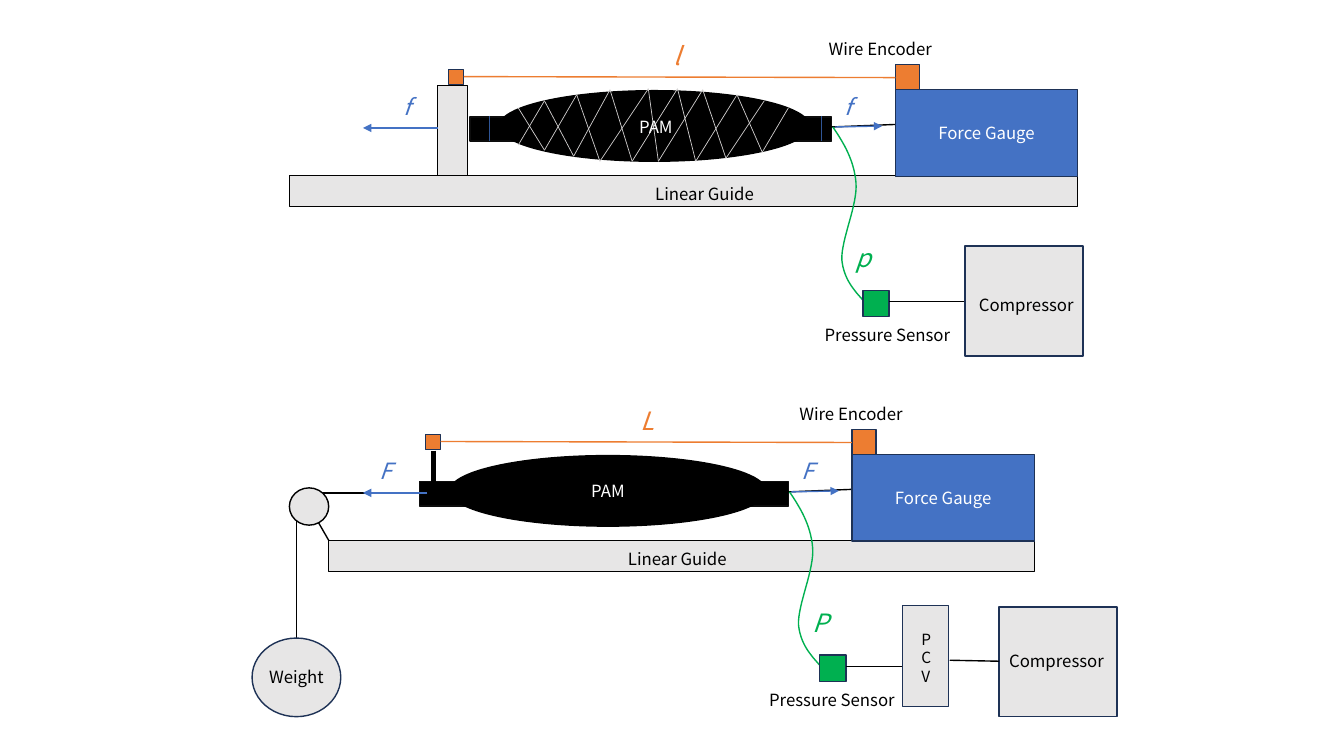
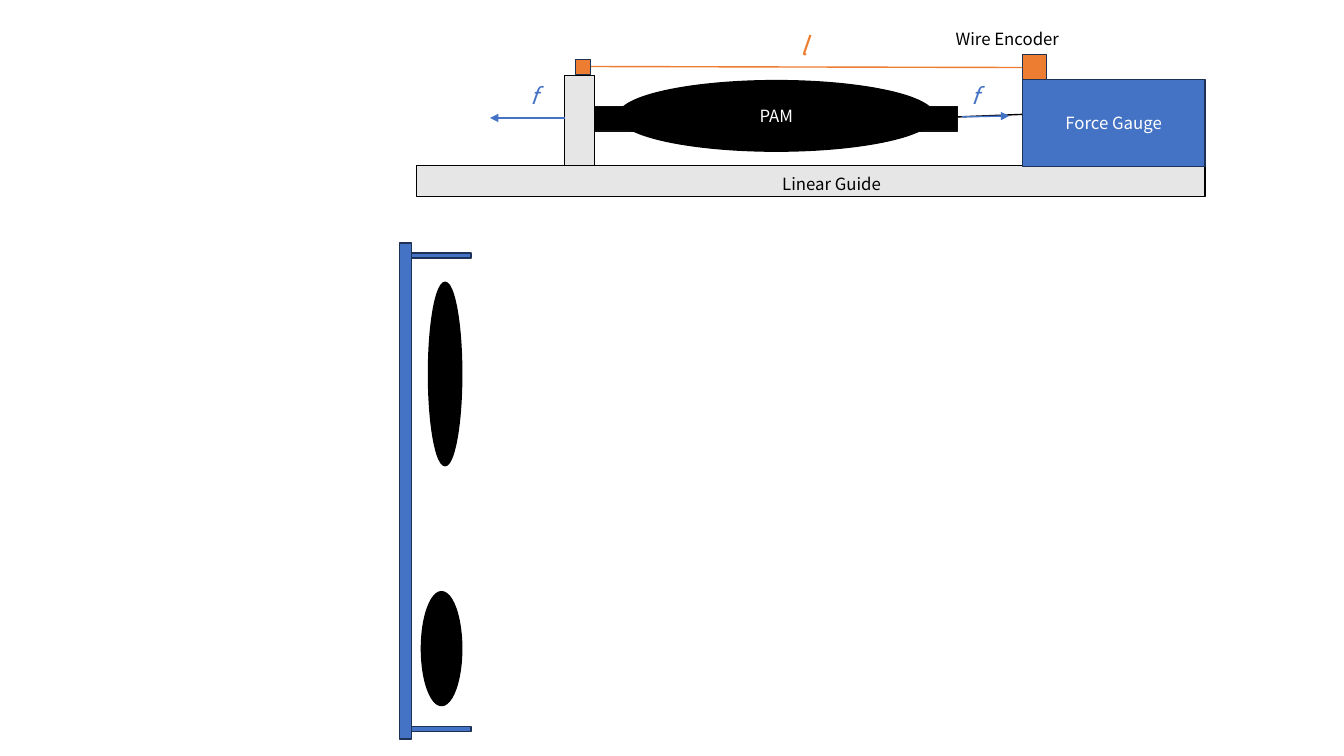
from lxml import etree
from pptx import Presentation
from pptx.dml.color import RGBColor
from pptx.enum.shapes import MSO_CONNECTOR, MSO_SHAPE
from pptx.enum.text import MSO_ANCHOR, PP_ALIGN
from pptx.oxml.ns import qn
from pptx.util import Inches, Pt

RECTANGLE = MSO_SHAPE.RECTANGLE
ELLIPSE = MSO_SHAPE.OVAL
STRAIGHT = MSO_CONNECTOR.STRAIGHT
CENTER = PP_ALIGN.CENTER
MIDDLE = MSO_ANCHOR.MIDDLE

FONT = "Noto Sans CJK JP"
COLOURS = {
    "black": "000000", "near_black": "0D0D0D", "white": "FFFFFF", "grey": "E7E6E6",
    "silver": "D0CECE", "blue": "4472C4", "deep_blue": "2F5597", "navy": "1E3256",
    "orange": "ED7D31", "green": "00B050",
}


def add_box(slide, preset, left, top, width, height, fill=None, outline=None,
            text="", size=12, colour="black", italic=False, wrap=False):
    """Add a preset shape with centred text, or a plain text box if preset is None."""
    bounds = [Inches(value) for value in (left, top, width, height)]
    if preset is None:
        shape = slide.shapes.add_textbox(*bounds)
    else:
        shape = slide.shapes.add_shape(preset, *bounds)
        shape.shadow.inherit = False
        shape.fill.solid()
        shape.fill.fore_color.rgb = RGBColor.from_string(COLOURS[fill])
        shape.line.color.rgb = RGBColor.from_string(COLOURS[outline])
        shape.line.width = Pt(1)
    if text:
        frame = shape.text_frame
        frame.word_wrap = wrap
        paragraph = frame.paragraphs[0]
        if preset is not None:
            frame.vertical_anchor = MIDDLE
            paragraph.alignment = CENTER
        run = paragraph.add_run()
        run.text = text
        run.font.name = FONT
        run.font.size = Pt(size)
        run.font.italic = italic
        run.font.color.rgb = RGBColor.from_string(COLOURS[colour])


def add_line(slide, start, end, colour="black", width=1, arrow=False):
    ends = [Inches(value) for value in (*start, *end)]
    connector = slide.shapes.add_connector(STRAIGHT, *ends)
    connector.line.color.rgb = RGBColor.from_string(COLOURS[colour])
    connector.line.width = Pt(width)
    if arrow:
        line = connector.line._get_or_add_ln()
        etree.SubElement(line, qn("a:tailEnd"), type="triangle")
    etree.SubElement(connector._element.spPr, qn("a:effectLst"))


presentation = Presentation()
presentation.slide_width = Inches(13.33)
presentation.slide_height = Inches(7.5)
blank = presentation.slide_layouts[6]
setup_slide = presentation.slides.add_slide(blank)
parts_slide = presentation.slides.add_slide(blank)

# Horizontal places are measured from the left edge of the force gauge.
fixed_rig = {
    "slide": setup_slide, "gauge": (8.88, 0.89), "force": "f", "length": "l",
    "muscle": (-4.22, 3.59), "belly": (-3.93, 3.08), "belly_text": "",
    "guide_width": 7.82, "post": True, "encoder": -4.43, "pull": (-4.54, -5.28),
    "force_label": -4.98, "length_label": -2.3, "guide_label": -2.48,
    "encoder_label": -0.76,
}
weight_rig = {
    "slide": setup_slide, "gauge": (8.45, 4.51), "force": "F", "length": "L",
    "muscle": (-4.29, 3.66), "belly": (-3.99, 3.14), "belly_text": "PAM",
    "guide_width": 7, "post": False, "encoder": -4.23, "pull": (-4.21, -4.85),
    "force_label": -4.78, "length_label": -2.2, "guide_label": -2.32,
    "encoder_label": -0.62,
}
plain_rig = {
    **fixed_rig, "slide": parts_slide, "gauge": (10.14, 0.79),
    "muscle": (-4.3, 3.66), "belly": (-4.01, 3.14), "belly_text": "PAM",
}

# Cord between pulley and muscle, behind the pull arrow
add_line(setup_slide, (3.1, 4.89), (4.25, 4.89))

for rig in (weight_rig, fixed_rig, plain_rig):
    slide = rig["slide"]
    x, y = rig["gauge"]
    muscle_left, muscle_width = rig["muscle"]
    belly_left, belly_width = rig["belly"]
    pull_start, pull_end = rig["pull"]
    guide_width = rig["guide_width"]

    add_box(slide, RECTANGLE, x + muscle_left, y + 0.27, muscle_width, 0.24, "black", "near_black")
    add_box(slide, ELLIPSE, x + belly_left, y + 0.01, belly_width, 0.7, "black", "black",
            rig["belly_text"], colour="white")
    if rig["post"]:
        add_box(slide, RECTANGLE, x - 4.54, y - 0.04, 0.3, 0.9, "grey", "black")
    add_box(slide, RECTANGLE, x + 1.81 - guide_width, y + 0.85, guide_width, 0.31, "grey", "black")
    add_box(slide, None, x + rig["guide_label"], y + 0.88, 1.2, 0.3, text="Linear Guide")

    add_box(slide, RECTANGLE, x, y - 0.25, 0.24, 0.25, "orange", "navy")
    add_box(slide, RECTANGLE, x + rig["encoder"], y - 0.2, 0.15, 0.15, "orange", "navy")
    add_line(slide, (x + rig["encoder"] + 0.15, y - 0.13), (x, y - 0.12), "orange")
    add_box(slide, None, x + rig["encoder_label"], y - 0.55, 1.24, 0.3, text="Wire Encoder")
    add_box(slide, None, x + rig["length_label"], y - 0.54, 0.3, 0.4, text=rig["length"],
            size=18, colour="orange", italic=True)

    add_line(slide, (x - 0.64, y + 0.37), (x + 0.12, y + 0.34))
    add_box(slide, RECTANGLE, x, y, 1.81, 0.86, "blue", "navy", "Force Gauge", colour="white")
    add_line(slide, (x - 0.6, y + 0.37), (x - 0.13, y + 0.36), "blue", arrow=True)
    add_line(slide, (x + pull_start, y + 0.38), (x + pull_end, y + 0.38), "blue", arrow=True)
    for label_left in (rig["force_label"], -0.6):
        add_box(slide, None, x + label_left, y - 0.02, 0.28, 0.37, text=rig["force"],
                size=16, colour="blue", italic=True)

# Braid of the fixed muscle: each top node joins the bottom nodes on both sides
braid_top = [(5.14, 1.07), (5.4, 1), (5.72, 0.94), (6.05, 0.89), (6.43, 0.88),
             (6.72, 0.88), (6.97, 0.89), (7.31, 0.94), (7.58, 1), (7.82, 1.07)]
braid_bottom = [(5.14, 1.44), (5.4, 1.49), (5.69, 1.55), (5.95, 1.6), (6.27, 1.6),
                (6.53, 1.6), (6.9, 1.6), (7.2, 1.57), (7.56, 1.51)]
strands = list(zip(braid_top[1:], braid_bottom)) + list(zip(braid_top, braid_bottom[1:]))
for top_node, bottom_node in strands:
    add_line(setup_slide, top_node, bottom_node, "silver", 0.5)
for clamp_x in (4.85, 8.15):
    add_line(setup_slide, (clamp_x, 1.15), (clamp_x, 1.4), "deep_blue", 0.5)
add_box(setup_slide, None, 6.24, 1.11, 0.58, 0.3, text="PAM", colour="white")

# Air supply: hose as Bezier segments, measured from the muscle's end
hose_segments = [
    ((0, 0), (0.11, 0.16), (0.21, 0.33), (0.23, 0.55)),
    ((0.23, 0.55), (0.25, 0.77), (0.08, 1.12), (0.09, 1.32)),
    ((0.09, 1.32), (0.11, 1.51), (0.21, 1.62), (0.31, 1.73)),
]
STEPS = 16
hose_points = []
for segment in hose_segments:
    for step in range(1, STEPS + 1):
        t = step / STEPS
        weights = ((1 - t) ** 3, 3 * t * (1 - t) ** 2, 3 * t ** 2 * (1 - t), t ** 3)
        hose_points.append([sum(weight * point[axis] for weight, point in zip(weights, segment))
                            for axis in (0, 1)])

supplies = [
    # rig, pressure symbol, sensor label offset, supply end, compressor, compressor label
    (fixed_rig, "p", -0.8, 9.57, (9.57, 2.44), (9.61, 2.87)),
    (weight_rig, "P", -0.92, 8.95, (9.91, 6.02), (9.91, 6.41)),
]
for rig, symbol, label_offset, supply_end, compressor, compressor_label in supplies:
    x, y = rig["gauge"]
    hose_x, hose_y = x - 0.62, y + 0.37
    builder = setup_slide.shapes.build_freeform(Inches(hose_x), Inches(hose_y))
    builder.add_line_segments(
        [(Inches(hose_x + dx), Inches(hose_y + dy)) for dx, dy in hose_points], close=False)
    hose = builder.convert_to_shape()
    hose.shadow.inherit = False
    hose.fill.background()
    hose.line.color.rgb = RGBColor.from_string(COLOURS["green"])
    hose.line.width = Pt(1)

    add_box(setup_slide, RECTANGLE, x - 0.32, y + 1.99, 0.26, 0.26, "green", "navy")
    add_line(setup_slide, (x - 0.06, y + 2.1), (supply_end, y + 2.1))
    add_box(setup_slide, None, x + label_offset, y + 2.28, 1.48, 0.3, text="Pressure Sensor")
    add_box(setup_slide, None, x - 0.49, y + 1.47, 0.28, 0.4, text=symbol,
            size=18, colour="green", italic=True)
    add_box(setup_slide, RECTANGLE, *compressor, 1.17, 1.09, "grey", "navy")
    add_box(setup_slide, None, *compressor_label, 1.14, 0.3, text="Compressor")

# Pressure control valve
add_box(setup_slide, RECTANGLE, 8.95, 6.01, 0.46, 1, "grey", "navy")
add_box(setup_slide, None, 9.04, 6.2, 0.35, 0.84, text="PCV", size=11, wrap=True)
add_line(setup_slide, (9.42, 6.55), (9.91, 6.56))

# Encoder rod, pulley and hanging weight
add_line(setup_slide, (4.3, 4.47), (4.3, 4.78), width=3)
add_line(setup_slide, (2.94, 5.1), (2.94, 6.4))
add_line(setup_slide, (3.26, 5.36), (3.07, 5.03))
add_box(setup_slide, ELLIPSE, 2.87, 4.84, 0.39, 0.37, "grey", "black")
add_box(setup_slide, ELLIPSE, 2.5, 6.33, 0.88, 0.78, "grey", "navy")
add_box(setup_slide, None, 2.57, 6.57, 0.75, 0.3, text="Weight")

# Upright frame with two muscles
add_box(parts_slide, RECTANGLE, 3.96, 2.41, 0.12, 4.92, "blue", "navy")
for arm_top in (2.51, 7.21):
    add_box(parts_slide, RECTANGLE, 4.08, arm_top, 0.59, 0.05, "blue", "navy")
for bounds in ((4.25, 2.8, 0.33, 1.82), (4.18, 5.87, 0.4, 1.13)):
    add_box(parts_slide, ELLIPSE, *bounds, "black", "black")

presentation.save("out.pptx")
